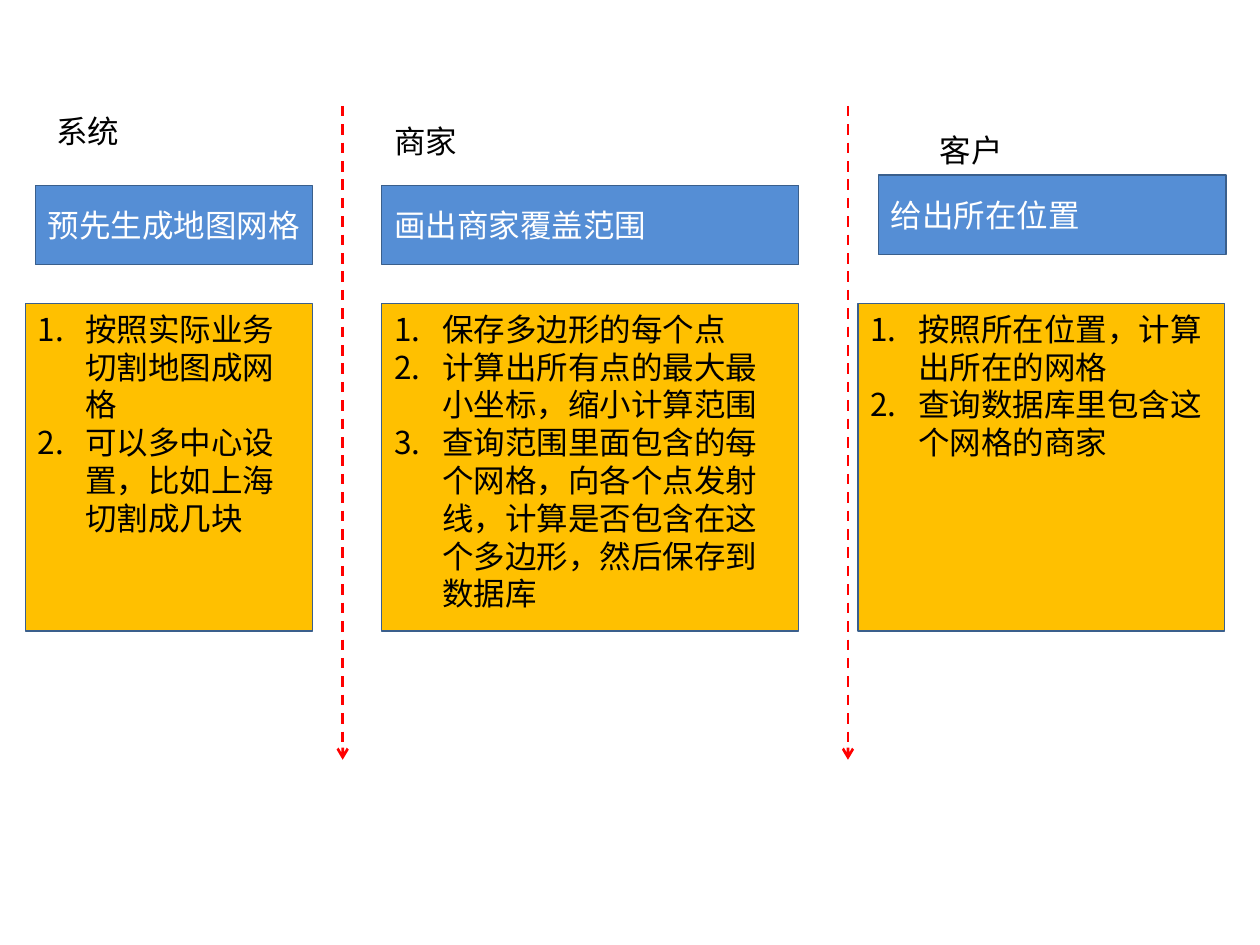
"""Build a slide with three columns of steps: system, merchant and customer."""
import pptx
import pptx.dml.color
import pptx.enum.dml
import pptx.enum.shapes
import pptx.enum.text
import pptx.oxml
import pptx.oxml.ns
import pptx.util
from pptx.util import Inches

COLORS = {
    "header": "558ED5",
    "body": "FFC000",
    "border": "3A5F8C",
    "divider": "FF0000",
    "light": "FFFFFF",
    "dark": "000000",
}
DIVIDERS = [2.72, 6.73]
COLUMNS = [
    {
        "label": ("系统", 0.35, 0.84),
        "header": ("预先生成地图网格", 0.28, 1.47, 2.2),
        "body": (0.2, 2.28),
        "steps": ["按照实际业务切割地图成网格", "可以多中心设置，比如上海切割成几块"],
    },
    {
        "label": ("商家", 3.03, 0.92),
        "header": ("画出商家覆盖范围", 3.03, 1.47, 3.31),
        "body": (3.03, 3.31),
        "steps": [
            "保存多边形的每个点",
            "计算出所有点的最大最小坐标，缩小计算范围",
            "查询范围里面包含的每个网格，向各个点发射线，"
            "计算是否包含在这个多边形，然后保存到数据库",
        ],
    },
    {
        "label": ("客户", 7.36, 0.99),
        "header": ("给出所在位置", 6.97, 1.39, 2.76),
        "body": (6.81, 2.91),
        "steps": ["按照所在位置，计算出所在的网格", "查询数据库里包含这个网格的商家"],
    },
]


def rgb(name):
    """Return the named colour."""
    return pptx.dml.color.RGBColor.from_string(COLORS[name])


def add_element(parent, tag, **attrs):
    """Append a DrawingML element with the given attributes."""
    el = pptx.oxml.parse_xml(f"<{tag} {pptx.oxml.ns.nsdecls('a')}/>")
    for key, value in attrs.items():
        el.set(key, value)
    parent.append(el)


def write(tf, lines, font, color, numbered=False):
    """Write left-aligned paragraphs, numbered on request."""
    tf.word_wrap = True
    for i, line in enumerate(lines):
        p = tf.paragraphs[0] if i == 0 else tf.add_paragraph()
        p.text = line
        p.alignment = pptx.enum.text.PP_ALIGN.LEFT
        if numbered:
            pPr = p._p.get_or_add_pPr()
            pPr.set("marL", str(Inches(0.38)))
            pPr.set("indent", str(Inches(-0.38)))
            add_element(pPr, "a:buFont", typeface="+mj-lt")
            add_element(pPr, "a:buAutoNum", type="arabicPeriod")
        p.font.size = pptx.util.Pt(18)
        p.font.name = font
        p.font.color.rgb = rgb(color)


def add_box(s, x, y, w, h, fill):
    """Add a bordered rectangle and return its text frame."""
    sp = s.shapes.add_shape(
        pptx.enum.shapes.MSO_SHAPE.RECTANGLE, Inches(x), Inches(y), Inches(w), Inches(h)
    )
    sp.shadow.inherit = False
    sp.fill.solid()
    sp.fill.fore_color.rgb = rgb(fill)
    sp.line.color.rgb = rgb("border")
    sp.line.width = pptx.util.Pt(0.75)
    return sp.text_frame


def add_header(s, text, x, y, w):
    """Add a column header box."""
    tf = add_box(s, x, y, w, 0.63, "header")
    tf.vertical_anchor = pptx.enum.text.MSO_ANCHOR.MIDDLE
    write(tf, [text], "Calibri", "light")


def add_steps(s, x, w, steps):
    """Add a box with a numbered list of steps."""
    tf = add_box(s, x, 2.41, w, 2.6, "body")
    tf.vertical_anchor = pptx.enum.text.MSO_ANCHOR.TOP
    write(tf, steps, "Calibri", "dark", numbered=True)


def add_label(s, text, x, y):
    """Add a column label."""
    tf = s.shapes.add_textbox(Inches(x), Inches(y), Inches(1.34), Inches(0.4)).text_frame
    write(tf, [text], "Arial", "dark")
    tf.auto_size = pptx.enum.text.MSO_AUTO_SIZE.SHAPE_TO_FIT_TEXT


def add_divider(s, x):
    """Add a dashed downward arrow between columns."""
    c = s.shapes.add_connector(
        pptx.enum.shapes.MSO_CONNECTOR.STRAIGHT, Inches(x), Inches(0.84), Inches(x), Inches(6.03)
    )
    c.line.color.rgb = rgb("divider")
    c.line.width = pptx.util.Pt(1.5)
    c.line.dash_style = pptx.enum.dml.MSO_LINE.DASH
    add_element(c.line._get_or_add_ln(), "a:tailEnd", type="arrow")
    add_element(c._element.spPr, "a:effectLst")


def main():
    """Build and save the slide."""
    prs = pptx.Presentation()
    prs.slide_width, prs.slide_height = Inches(10), Inches(7.5)
    s = prs.slides.add_slide(prs.slide_layouts[6])
    for x in DIVIDERS:
        add_divider(s, x)
    for column in COLUMNS:
        add_label(s, *column["label"])
        add_header(s, *column["header"])
        add_steps(s, *column["body"], column["steps"])
    prs.save("out.pptx")


if __name__ == "__main__":
    main()
